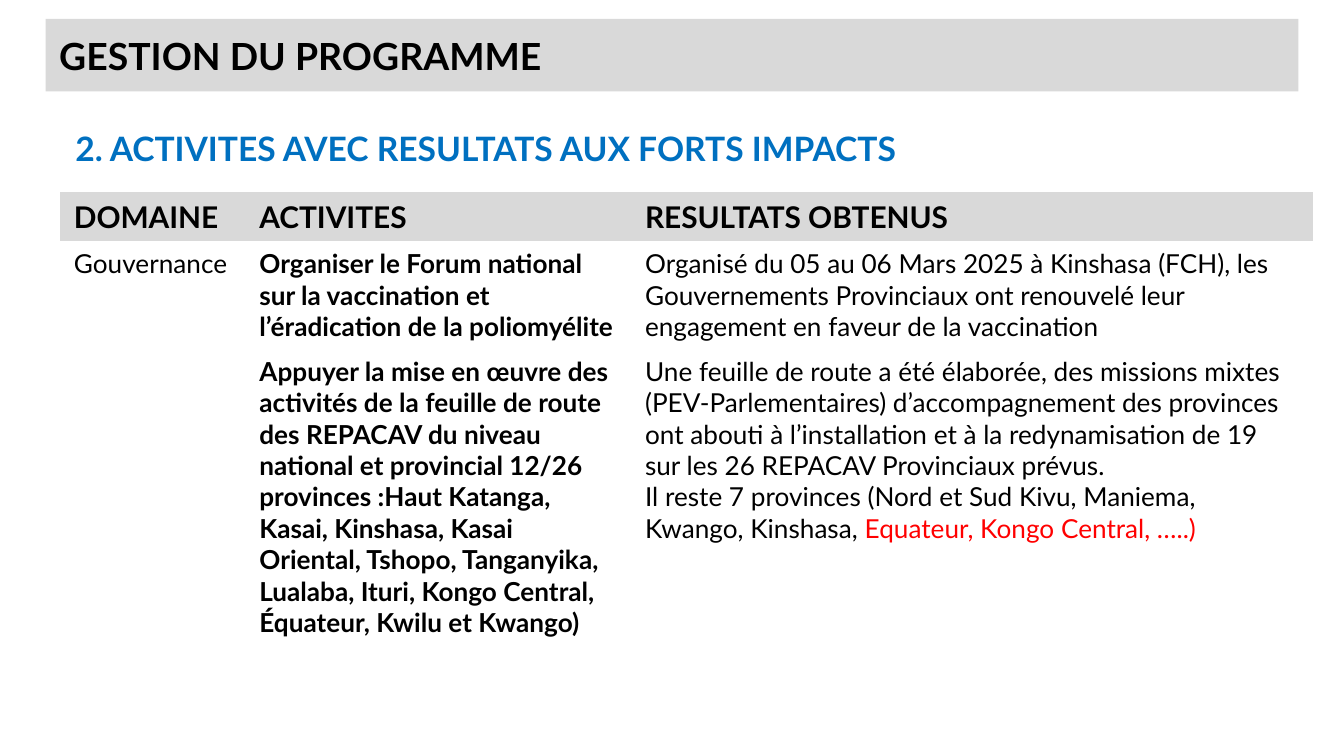
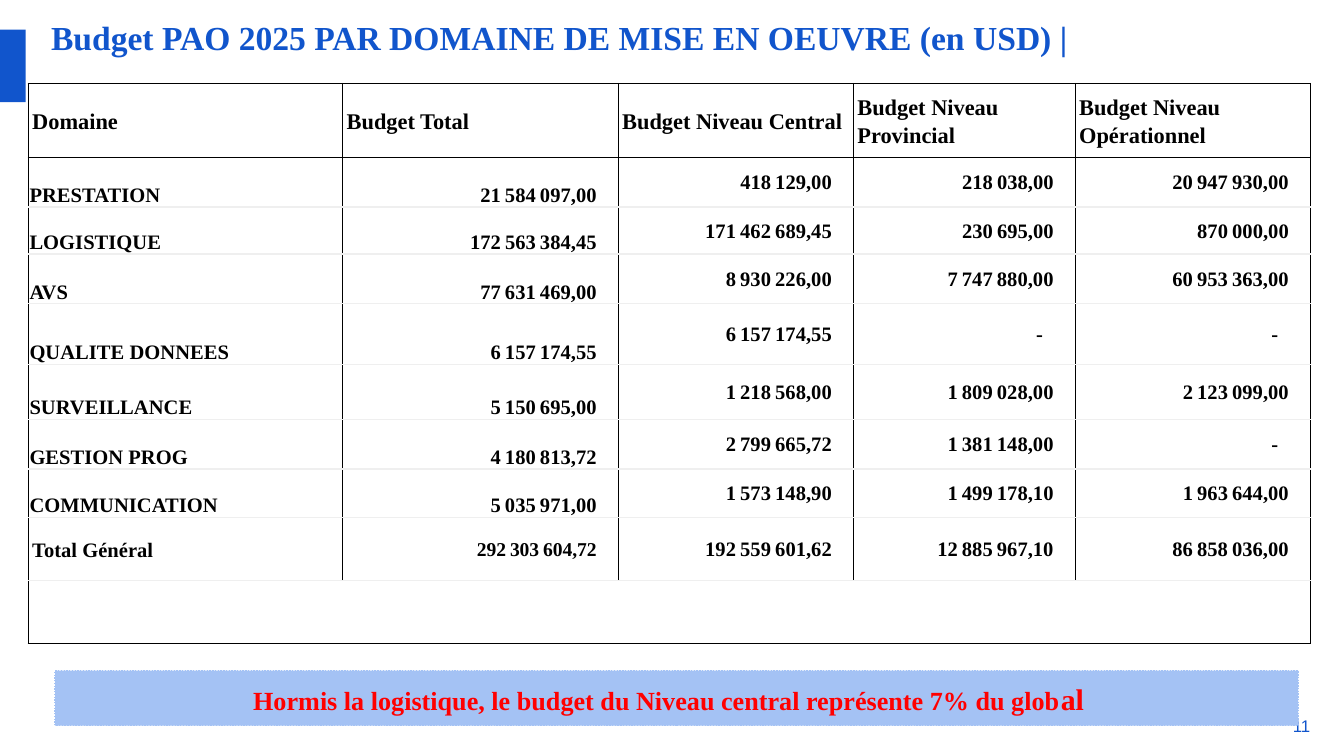
from lxml import etree
from pptx import Presentation, util as u
from pptx.dml import color
from pptx.enum import dml, shapes, text
from pptx.oxml import ns

COLORS = {
    "black": "000000", "grey": "D9D9D9", "hairline": "EFEFEF", "heading": "0070C0",
    "blue": "1155CC", "pale": "A4C2F4", "red": "FF0000",
}
LATO, TIMES, ARIAL = "Lato", "Times New Roman", "Arial"
LEFT, RIGHT, CENTER = text.PP_ALIGN.LEFT, text.PP_ALIGN.RIGHT, text.PP_ALIGN.CENTER
TOP, MIDDLE, BOTTOM = text.MSO_ANCHOR.TOP, text.MSO_ANCHOR.MIDDLE, text.MSO_ANCHOR.BOTTOM
PLAIN_TABLE = "{2D5ABB26-0587-4C30-8999-92F81FD0307C}"
NARROW_SPACE = chr(8239)
WIDTH = u.Inches(10)
HEIGHT = WIDTH * 9 // 16
COLUMN, ROW = WIDTH / 100, HEIGHT / 56.25

ACTIVITY_HEADER = ["DOMAINE", "ACTIVITES", "RESULTATS OBTENUS"]
ACTIVITIES = [
    (
        "Organiser le Forum national sur la vaccination et l’éradication de la poliomyélite",
        [[("Organisé du 05 au 06 Mars 2025 à Kinshasa (FCH), les Gouvernements Provinciaux "
           "ont renouvelé leur engagement en faveur de la vaccination", {})]],
    ),
    (
        "Appuyer la mise en œuvre des activités de la feuille de route des REPACAV du niveau "
        "national et provincial 12/26 provinces :Haut Katanga, Kasai, Kinshasa, Kasai Oriental, "
        "Tshopo, Tanganyika, Lualaba, Ituri, Kongo Central, Équateur, Kwilu et Kwango)",
        [
            [("Une feuille de route a été élaborée, des missions mixtes (PEV-Parlementaires) "
              "d’accompagnement des provinces ont abouti à l’installation et à la "
              "redynamisation de 19 sur les 26 REPACAV Provinciaux prévus.", {})],
            [("Il reste 7 provinces (Nord et Sud Kivu, Maniema, Kwango, Kinshasa, ", {}),
             ("Equateur, Kongo Central, …..)", {"ink": "red"})],
        ],
    ),
]
BUDGET_HEADER = ["Domaine", "Budget Total", "Budget Niveau Central",
                 "Budget Niveau Provincial", "Budget Niveau Opérationnel"]
BUDGET = [
    ("PRESTATION", 21584097, 418129, 218038, 20947930),
    ("LOGISTIQUE", 172563384.45, 171462689.45, 230695, 870000),
    ("AVS", 77631469, 8930226, 7747880, 60953363),
    ("QUALITE DONNEES", 6157174.55, 6157174.55, 0, 0),
    ("SURVEILLANCE", 5150695, 1218568, 1809028, 2123099),
    ("GESTION PROG", 4180813.72, 2799665.72, 1381148, 0),
    ("COMMUNICATION", 5035971, 1573148.9, 1499178.1, 1963644),
    ("Total Général", 292303604.72, 192559601.62, 12885967.1, 86858036),
]


def place(box):
    left, top, width, height = box
    return round(left * COLUMN), round(top * ROW), round(width * COLUMN), round(height * ROW)


def rgb(name):
    return color.RGBColor.from_string(COLORS[name])


def paint(target, name):
    target.fill.solid()
    target.fill.fore_color.rgb = rgb(name)


def add_run(paragraph, words, font, size, ink="black", bold=False):
    run = paragraph.add_run()
    run.text = words
    run.font.name, run.font.size = font, u.Pt(size)
    run.font.bold, run.font.color.rgb = bold, rgb(ink)


def write(frame, paragraphs, align=LEFT, spacing=1.0, **style):
    for index, runs in enumerate(paragraphs):
        paragraph = frame.add_paragraph() if index else frame.paragraphs[0]
        paragraph.alignment, paragraph.line_spacing = align, spacing
        for words, changes in runs:
            add_run(paragraph, words, **{**style, **changes})


def set_margins(target, left, top, right, bottom):
    target.margin_left, target.margin_top = u.Inches(left), u.Inches(top)
    target.margin_right, target.margin_bottom = u.Inches(right), u.Inches(bottom)


def prepare_frame(shape, inset, anchor):
    frame = shape.text_frame
    frame.word_wrap, frame.auto_size = True, text.MSO_AUTO_SIZE.NONE
    frame.vertical_anchor = anchor
    set_margins(frame, inset, inset, inset, inset)
    return frame


def add_title(slide, box, words, inset, **style):
    title = slide.shapes.title
    title.left, title.top, title.width, title.height = place(box)
    write(prepare_frame(title, inset, MIDDLE), [[(words, {})]], bold=True, **style)
    return title


def add_label(slide, box, words, inset, anchor, **style):
    label = slide.shapes.add_textbox(*place(box))
    write(prepare_frame(label, inset, anchor), [[(words, {})]], **style)
    return label


def add_band(slide, box, fill):
    band = slide.shapes.add_shape(shapes.MSO_SHAPE.RECTANGLE, *place(box))
    band.shadow.inherit = False
    paint(band, fill)
    band.line.fill.background()
    return band


def add_plain_table(slide, left, top, widths, heights):
    box = (left, top, sum(widths), sum(heights))
    frame = slide.shapes.add_table(len(heights), len(widths), *place(box))
    table = frame.table
    table.first_row = table.horz_banding = False
    for style in frame._element.iter(ns.qn("a:tableStyleId")):
        style.text = PLAIN_TABLE
    for column, width in zip(table.columns, widths):
        column.width = round(width * COLUMN)
    for row, height in zip(table.rows, heights):
        row.height = round(height * ROW)
    return table


def set_borders(cell, top, bottom):
    properties = cell._tc.get_or_add_tcPr()
    edges = {"lnL": "black", "lnR": "black", "lnT": top, "lnB": bottom}
    for tag, name in edges.items():
        line = etree.SubElement(properties, ns.qn("a:" + tag), w=str(u.Pt(0.75)))
        fill = etree.SubElement(line, ns.qn("a:solidFill"))
        etree.SubElement(fill, ns.qn("a:srgbClr"), val=COLORS[name])


def add_activity_table(slide, left, top):
    table = add_plain_table(slide, left, top, [13.8, 28.7, 50.7], [3.5, 6.6, 17.5])
    for column, words in enumerate(ACTIVITY_HEADER):
        cell = table.cell(0, column)
        paint(cell, "grey")
        write(cell.text_frame, [[(words, {})]], font=LATO, size=16, bold=True)
    for row, (activity, results) in enumerate(ACTIVITIES, 1):
        contents = ([[("Gouvernance", {})]] if row == 1 else [], [[(activity, {})]], results)
        for column, paragraphs in enumerate(contents):
            cell = table.cell(row, column)
            cell.fill.background()
            write(cell.text_frame, paragraphs, font=LATO, size=14, bold=column == 1)
    table.cell(1, 0).merge(table.cell(2, 0))


def format_amount(value):
    separators = str.maketrans({",": NARROW_SPACE, ".": ","})
    return f"{value:,.2f}".translate(separators) if value else "-"


def write_label_cell(cell, words, size):
    cell.vertical_anchor = MIDDLE
    set_margins(cell, 0.03, 0.02, 0.03, 0.02)
    write(cell.text_frame, [[(words, {})]], spacing=1.15, font=TIMES, size=size, bold=True)


def write_budget_cell(cell, words, anchor, align, right, size=11):
    cell.vertical_anchor = anchor
    set_margins(cell, 0.01, 0.01, right, 0)
    write(cell.text_frame, [[(words, {})]], align, font=TIMES, size=size, bold=True)


def add_budget_table(slide, left, top):
    heights = [5.5, 3.7, 3.5, 3.7, 4.5, 4.1, 3.7, 3.6, 4.7, 4.7]
    table = add_plain_table(slide, left, top, [23.4, 20.5, 17.5, 16.5, 17.5], heights)
    last = len(heights) - 1
    for index, cell in enumerate(table.iter_cells()):
        row = index // len(BUDGET_HEADER)
        set_borders(cell, "black" if row < 2 else "hairline",
                    "black" if row in (0, last) else "hairline")
        cell.fill.background()
    for column, words in enumerate(BUDGET_HEADER):
        write_label_cell(table.cell(0, column), words, 12)
    for row, (domain, *amounts) in enumerate(BUDGET, 1):
        is_total = row == len(BUDGET)
        if is_total:
            write_label_cell(table.cell(row, 0), domain, 11)
        else:
            write_budget_cell(table.cell(row, 0), domain, BOTTOM, LEFT, 0.01)
        for column, amount in enumerate(amounts, 1):
            is_sum = column == 1
            write_budget_cell(
                table.cell(row, column), format_amount(amount),
                BOTTOM if is_sum and not is_total else MIDDLE, RIGHT,
                0.16 if amount else 0.24, 10.5 if is_sum and is_total else 11)
    table.cell(last, 0).merge(table.cell(last, len(BUDGET_HEADER) - 1))


def add_callout(slide, box):
    callout = add_band(slide, box, "pale")
    callout.line.color.rgb, callout.line.width = rgb("pale"), u.Pt(0.75)
    callout.line.dash_style = dml.MSO_LINE.ROUND_DOT
    runs = [("Hormis la logistique, le budget du Niveau central représente 7% du glob", {}),
            ("al", {"size": 16})]
    frame = prepare_frame(callout, 0.1, MIDDLE)
    frame.margin_right = u.Inches(0.22)
    write(frame, [runs], CENTER, font=TIMES, size=14, ink="red", bold=True)


def build_activities(slide):
    title = add_title(slide, (3.4, 1.4, 93.2, 5.4), "GESTION DU PROGRAMME", 0.1,
                      font=LATO, size=20)
    paint(title, "grey")
    heading = add_label(slide, (3.4, 8.1, 93.2, 41.9),
                        "2. ACTIVITES AVEC RESULTATS AUX FORTS IMPACTS", 0.1, TOP,
                        spacing=1.15, font=LATO, size=18, ink="heading", bold=True)
    heading.text_frame.margin_left = u.Inches(0.22)
    add_activity_table(slide, 4.5, 14.3)


def build_budget(slide):
    add_title(slide, (3.8, 0, 92.5, 5.5),
              "Budget PAO 2025 PAR DOMAINE DE MISE EN OEUVRE (en USD) |", 0,
              font=TIMES, size=18, ink="blue")
    add_band(slide, (0, 2.2, 1.9, 5.4), "blue")
    add_label(slide, (95.6, 53.3, 1.9, 1.4), "11", 0, MIDDLE,
              align=RIGHT, font=ARIAL, size=9, ink="blue")
    add_budget_table(slide, 2.1, 6.2)
    add_callout(slide, (4.1, 49.9, 92.5, 4.1))


def main():
    presentation = Presentation()
    presentation.slide_width, presentation.slide_height = WIDTH, HEIGHT
    title_only = presentation.slide_layouts[5]
    for build in (build_activities, build_budget):
        build(presentation.slides.add_slide(title_only))
    presentation.save("out.pptx")


if __name__ == "__main__":
    main()
